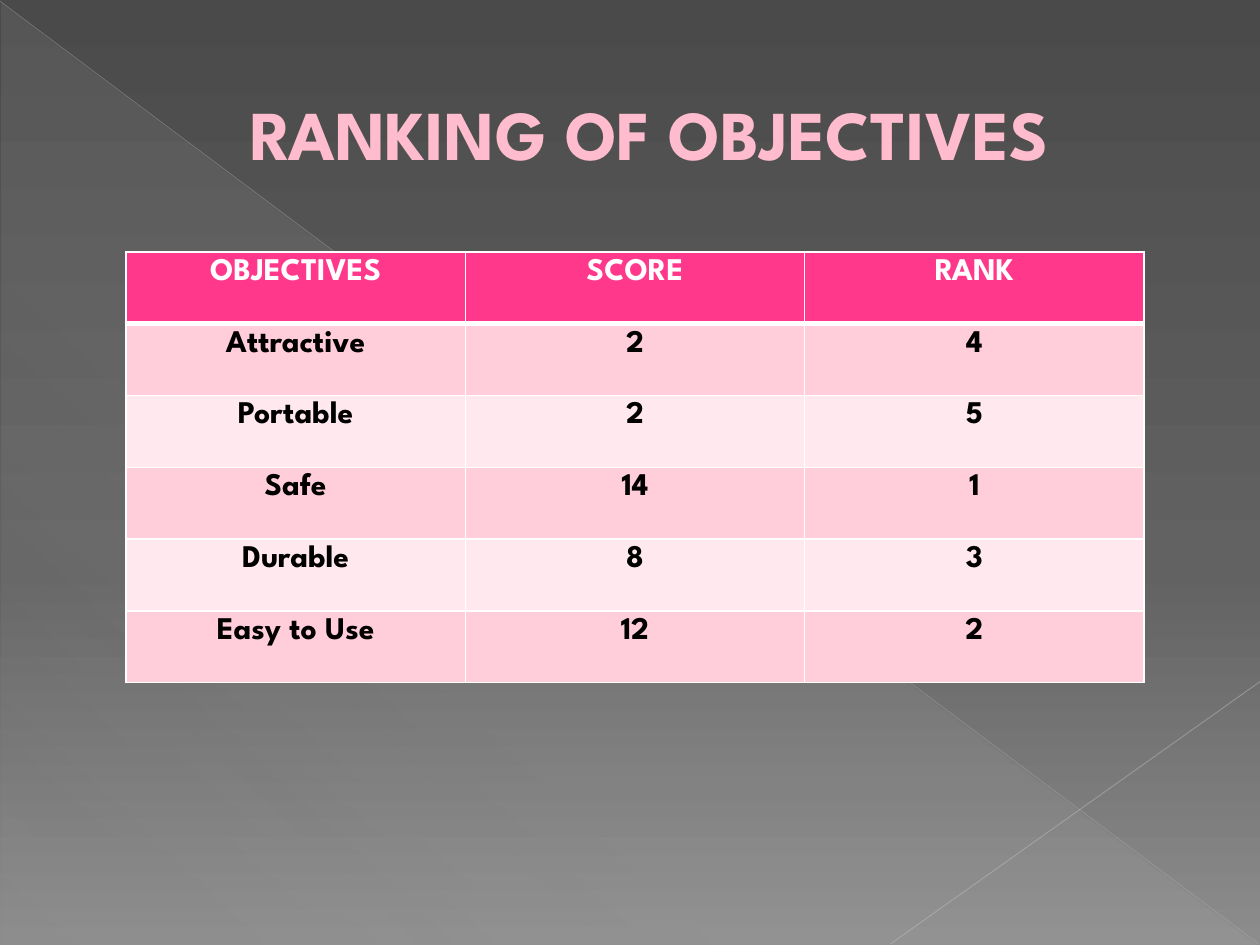
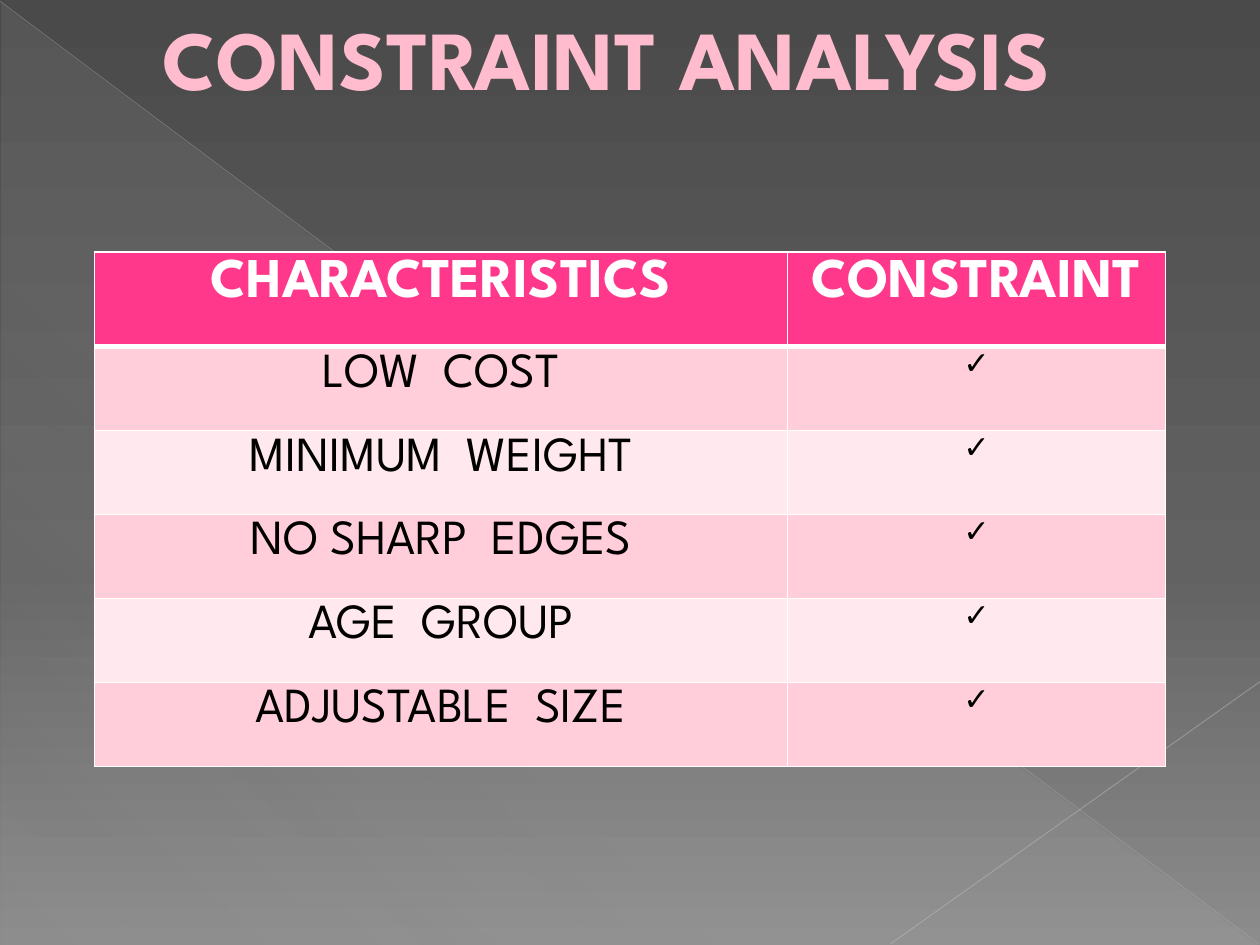
from lxml import etree
from pptx import Presentation
from pptx.dml.color import RGBColor
from pptx.enum.shapes import MSO_CONNECTOR, MSO_SHAPE
from pptx.enum.text import MSO_AUTO_SIZE, PP_ALIGN
from pptx.oxml.ns import qn
from pptx.util import Inches, Pt

STRAIGHT = MSO_CONNECTOR.STRAIGHT
RIGHT_TRIANGLE = MSO_SHAPE.RIGHT_TRIANGLE
CENTER = PP_ALIGN.CENTER
FIT_TEXT = MSO_AUTO_SIZE.SHAPE_TO_FIT_TEXT

# Shared style
FONT = "League Spartan"
WIDTH, HEIGHT = 10, 7.5
WHITE = RGBColor(0xFF, 0xFF, 0xFF)
BLACK = RGBColor(0x00, 0x00, 0x00)
TITLE_PINK = RGBColor(0xFF, 0xBC, 0xCE)
HEADER_PINK = RGBColor(0xFF, 0x38, 0x8C)
BAND_PINKS = (RGBColor(0xFF, 0xCE, 0xDA), RGBColor(0xFF, 0xE8, 0xEE))
VEIL = RGBColor(0xD2, 0xD2, 0xD2)

# Gradient stops: position %, colour, opacity %
BACKGROUND_STOPS = [(0, RGBColor(0x4A, 0x4A, 0x4A), 100),
                    (60, RGBColor(0x62, 0x62, 0x62), 100),
                    (100, RGBColor(0x8C, 0x8C, 0x8C), 100)]
VEIL_STOPS = [(0, VEIL, 10), (70, VEIL, 8), (100, VEIL, 1)]
# Diagonals: start, end, colour, width, opacity %
DIAGONALS = [((0, 0.01), (9.99, 7.49), RGBColor(0xBF, 0xBF, 0xBF), 0.39, 35),
             ((WIDTH, 5.41), (7.07, 7.49), RGBColor(0xC6, 0xC6, 0xC6), 0.47, 45)]

# Content: cell styles are (size, bold), one per column
CHECK = "\u2713"
SLIDES = [
    {"title": "RANKING OF OBJECTIVES", "title_size": 40, "wrap": False,
     "title_box": (1.67, 0.67, 6.97, 0.77),
     "table_left": 1, "columns": [8.08 / 3] * 3,
     "header_height": 0.57, "row_height": 0.57,
     "header_size": 18, "cell_styles": [(18, True)] * 3,
     "rows": [("OBJECTIVES", "SCORE", "RANK"),
              ("Attractive", "2", "4"),
              ("Portable", "2", "5"),
              ("Safe", "14", "1"),
              ("Durable", "8", "3"),
              ("Easy to Use", "12", "2")]},
    {"title": "CONSTRAINT ANALYSIS", "title_size": 48, "wrap": True,
     "title_box": (1.17, 0, 7.29, 1.72),
     "table_left": 0.75, "columns": [5.5, 3],
     "header_height": 0.75, "row_height": 2 / 3,
     "header_size": 32, "cell_styles": [(28, False), (18, True)],
     "rows": [("CHARACTERISTICS", "CONSTRAINT"),
              ("LOW  COST", CHECK),
              ("MINIMUM  WEIGHT", CHECK),
              ("NO SHARP  EDGES", CHECK),
              ("AGE  GROUP", CHECK),
              ("ADJUSTABLE  SIZE", CHECK)]},
]
TABLE_TOP = 2


def add_color(parent, color, opacity=100):
    element = etree.SubElement(parent, qn("a:srgbClr"), val=str(color))
    if opacity < 100:
        etree.SubElement(element, qn("a:alpha"), val=str(opacity * 1000))


def set_gradient(fill, owner, stops, clockwise_angle):
    fill.gradient()
    fill.gradient_angle = 360 - clockwise_angle
    stop_list = owner.xpath(".//a:gsLst")[0]
    for stop in list(stop_list):
        stop_list.remove(stop)
    for position, color, opacity in stops:
        stop = etree.SubElement(stop_list, qn("a:gs"), pos=str(position * 1000))
        add_color(stop, color, opacity)


def add_backdrop(slide):
    set_gradient(slide.background.fill, slide.element, BACKGROUND_STOPS, 90)
    veil = slide.shapes.add_shape(RIGHT_TRIANGLE, Inches(0.01), Inches(0.02),
                                  Inches(WIDTH - 0.02), Inches(HEIGHT - 0.02))
    veil.shadow.inherit = False
    veil.line.fill.background()
    set_gradient(veil.fill, veil.element, VEIL_STOPS, 133)
    for start, end, color, width, opacity in DIAGONALS:
        line = slide.shapes.add_connector(
            STRAIGHT, *(Inches(value) for value in start + end))
        line.line.width = Pt(width)
        line.line.color.rgb = color
        color_element = line.element.xpath("./p:spPr/a:ln//a:srgbClr")[0]
        etree.SubElement(color_element, qn("a:alpha"), val=str(opacity * 1000))
        etree.SubElement(line.element.spPr, qn("a:effectLst"))


def write(text_frame, text, size, bold, color):
    text_frame.text = text
    paragraph = text_frame.paragraphs[0]
    paragraph.alignment = CENTER
    font = paragraph.runs[0].font
    font.name, font.size, font.bold = FONT, Pt(size), bold
    font.color.rgb = color


def add_title(slide, content):
    box = slide.shapes.add_textbox(*(Inches(value) for value in content["title_box"]))
    frame = box.text_frame
    write(frame, content["title"], content["title_size"], True, TITLE_PINK)
    frame.word_wrap = content["wrap"]
    frame.auto_size = FIT_TEXT


def set_borders(cell, row):
    # The rule below the header is thicker than the others
    widths = {"L": 1, "R": 1, "T": 3 if row == 1 else 1, "B": 3 if row == 0 else 1}
    properties = cell._tc.get_or_add_tcPr()
    for index, (side, width) in enumerate(widths.items()):
        border = etree.Element(qn("a:ln" + side), w=str(Pt(width)))
        add_color(etree.SubElement(border, qn("a:solidFill")), WHITE)
        properties.insert(index, border)


def add_table(slide, content):
    rows, columns = content["rows"], content["columns"]
    heights = [content["header_height"]] + [content["row_height"]] * (len(rows) - 1)
    table = slide.shapes.add_table(
        len(rows), len(columns), Inches(content["table_left"]), Inches(TABLE_TOP),
        Inches(sum(columns)), Inches(sum(heights))).table
    for column, width in zip(table.columns, columns):
        column.width = Inches(width)
    for row, (texts, height) in enumerate(zip(rows, heights)):
        table.rows[row].height = Inches(height)
        for column, text in enumerate(texts):
            cell = table.cell(row, column)
            cell.fill.solid()
            if row == 0:
                cell.fill.fore_color.rgb = HEADER_PINK
                write(cell.text_frame, text, content["header_size"], True, WHITE)
            else:
                cell.fill.fore_color.rgb = BAND_PINKS[(row - 1) % 2]
                size, bold = content["cell_styles"][column]
                write(cell.text_frame, text, size, bold, BLACK)
            set_borders(cell, row)


presentation = Presentation()
presentation.slide_width = Inches(WIDTH)
presentation.slide_height = Inches(HEIGHT)
blank_layout = presentation.slide_layouts[6]
for content in SLIDES:
    slide = presentation.slides.add_slide(blank_layout)
    add_backdrop(slide)
    add_title(slide, content)
    add_table(slide, content)
presentation.save("out.pptx")
